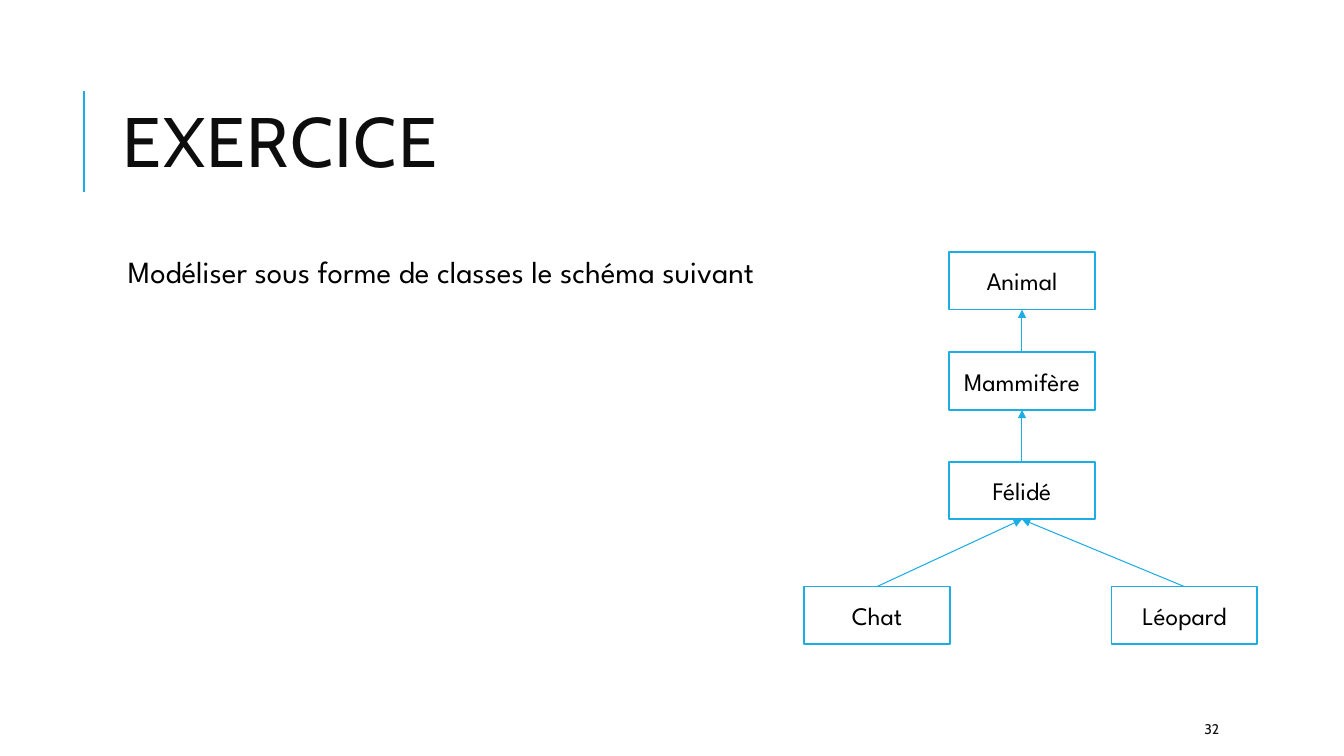
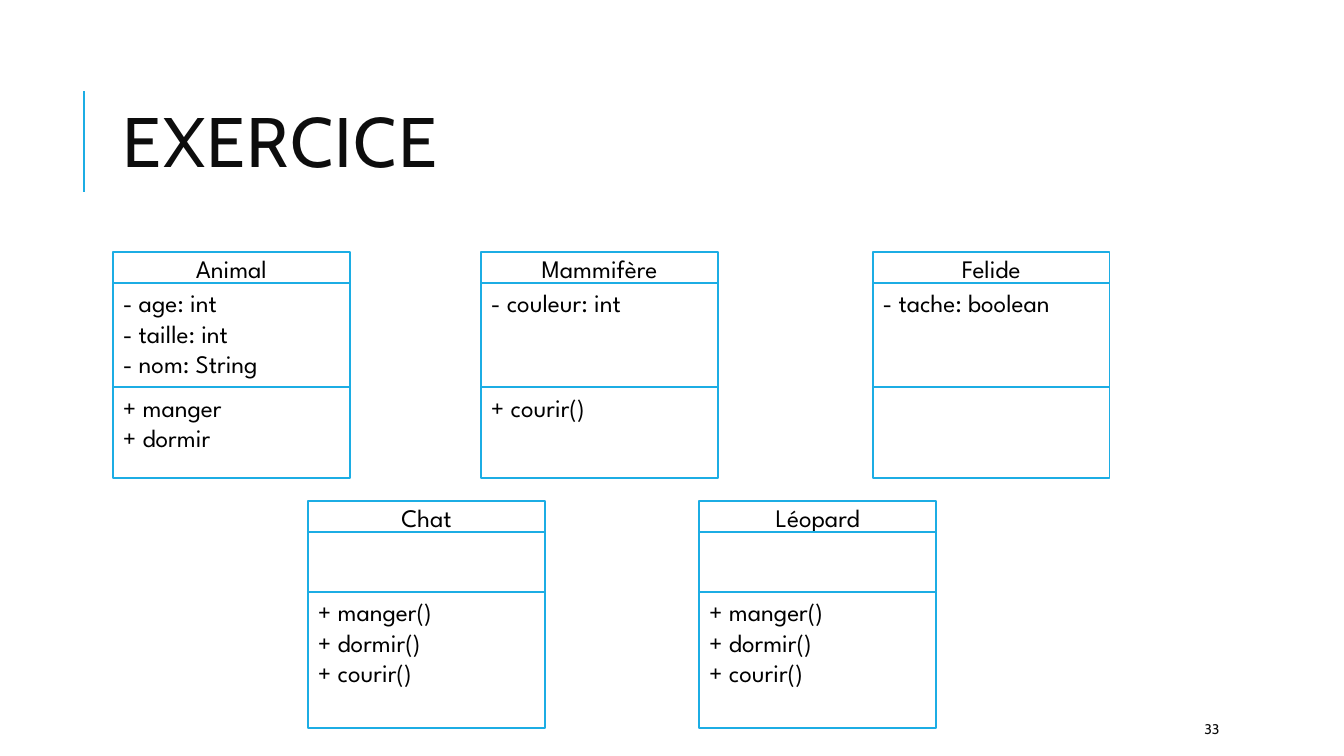
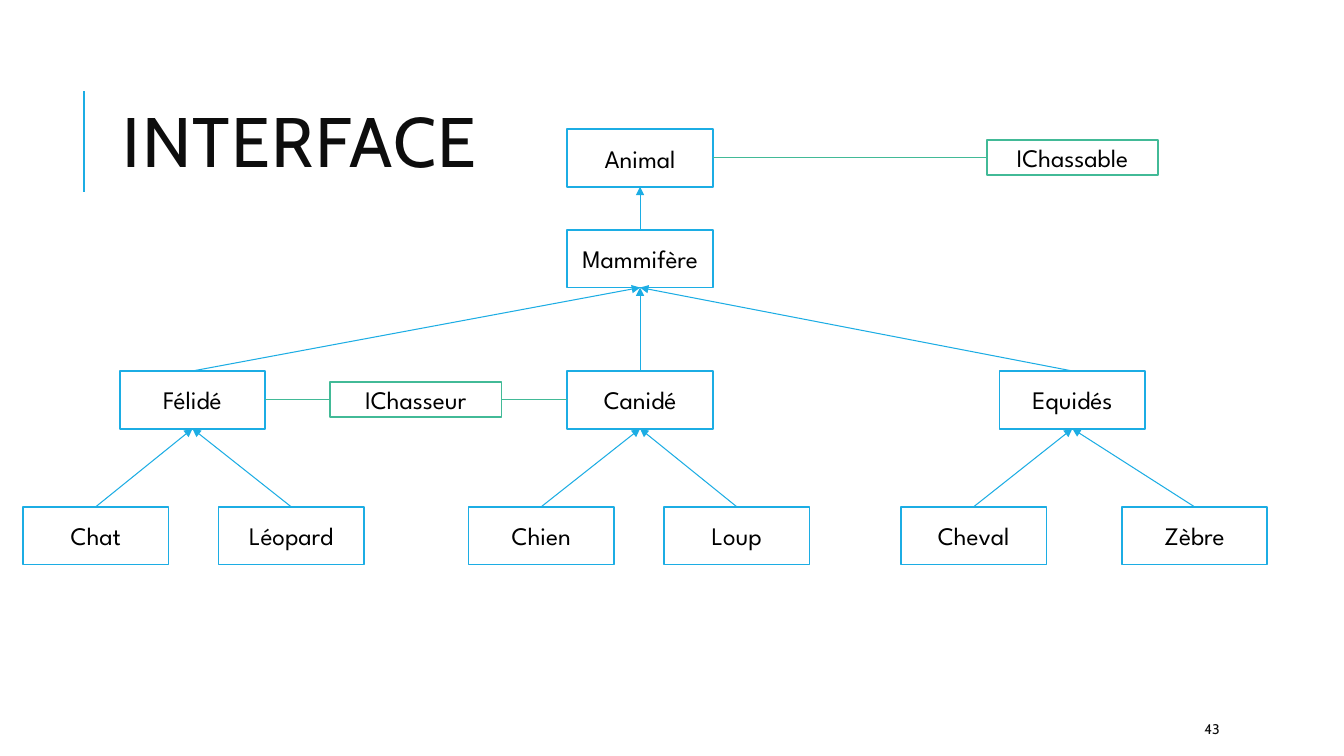
from pptx import Presentation
from pptx.dml.color import RGBColor
from pptx.enum import shapes, text
from pptx.oxml import ns
from pptx.util import Pt
from lxml import etree

BLUE = RGBColor(0x1C, 0xAD, 0xE4)
GREEN = RGBColor(0x42, 0xBA, 0x97)
WHITE = RGBColor(0xFF, 0xFF, 0xFF)
BLACK = RGBColor(0, 0, 0)
INK = RGBColor(0x0D, 0x0D, 0x0D)
HEAD, BODY = "Cabin", "League Spartan"
LEFT, MID = text.PP_ALIGN.LEFT, text.PP_ALIGN.CENTER
TOP, CENTRE = text.MSO_ANCHOR.TOP, text.MSO_ANCHOR.MIDDLE
ABOVE, WEST, BELOW, EAST = range(4)


def write(frame, words, size=18, font=BODY, color=BLACK, align=LEFT,
          anchor=TOP, lead=None, before=None, after=None, track=None,
          inset=(7.2, 3.6)):
    """Fill a text frame, one paragraph per line of words."""
    frame.word_wrap = True
    frame.vertical_anchor = anchor
    frame.margin_left = frame.margin_right = Pt(inset[0])
    frame.margin_top = frame.margin_bottom = Pt(inset[1])
    for i, line in enumerate(words.split("\n")):
        para = frame.add_paragraph() if i else frame.paragraphs[0]
        para.alignment = align
        if lead:
            para.line_spacing = lead
        if before is not None:
            para.space_before = Pt(before)
        if after is not None:
            para.space_after = Pt(after)
        if not line:
            continue
        run = para.add_run()
        run.text = line
        run.font.size, run.font.name = Pt(size), font
        run.font.color.rgb = color
        if track:
            run.font._element.set("spc", str(track * 100))


class Deck:
    """Holds the shared style and the slide being drawn."""

    def __init__(self):
        self.show = Presentation()
        self.show.slide_width, self.show.slide_height = Pt(960), Pt(540)

    def page(self, title, number):
        layout = self.show.slide_layouts[5]
        self.slide = self.show.slides.add_slide(layout)
        head = self.slide.shapes.title
        head.left, head.top = Pt(80.64), Pt(46)
        head.width, head.height = Pt(765.36), Pt(118)
        write(head.text_frame, title, size=50, font=HEAD, color=INK,
              anchor=CENTRE, lead=0.8, track=1)
        self.line((60, 137), (60, 65), width=1.5)
        self.note(number, 853.2, 509.8, 76.3, 21.6, size=10, font=HEAD,
                  color=INK, anchor=CENTRE)

    def note(self, words, x, y, w, h, **style):
        area = self.slide.shapes.add_textbox(Pt(x), Pt(y), Pt(w), Pt(h))
        write(area.text_frame, words, **style)

    def line(self, start, end, color=BLUE, width=0.75):
        wire = self.slide.shapes.add_connector(
            shapes.MSO_CONNECTOR.STRAIGHT, *map(Pt, start + end))
        wire.line.color.rgb, wire.line.width = color, Pt(width)
        etree.SubElement(wire._element.spPr, ns.qn("a:effectLst"))
        return wire

    def join(self, start, end, sides, color=BLUE):
        """Glue a line to the given sides of two boxes."""
        wire = self.line((0, 0), (0, 0), color)
        wire.begin_connect(start, sides[0])
        wire.end_connect(end, sides[1])
        return wire

    def climb(self, child, parent):
        """Draw the arrow from a class up to its parent."""
        wire = self.join(child, parent, (ABOVE, BELOW))
        tip = etree.SubElement(wire.line._get_or_add_ln(), ns.qn("a:tailEnd"))
        tip.set("type", "triangle")

    def box(self, words, x, y, w, h, color=BLUE, home=None, **style):
        area = (home or self.slide).shapes.add_shape(
            shapes.MSO_SHAPE.RECTANGLE, Pt(x), Pt(y), Pt(w), Pt(h))
        area.shadow.inherit = False
        area.fill.solid()
        area.fill.fore_color.rgb = WHITE
        area.line.color.rgb, area.line.width = color, Pt(1.25)
        write(area.text_frame, words, **style)
        return area

    def node(self, name, x, y, w=104, h=41.2, color=BLUE):
        """Draw a named box centred on x, with its top at y."""
        return self.box(name, x - w / 2, y, w, h, color,
                        align=MID, anchor=CENTRE)

    def tree(self, nodes):
        """Draw (name, centre, top, parent) rows, then their arrows."""
        made = {name: self.node(name, x, y) for name, x, y, _ in nodes}
        for name, _, _, parent in nodes:
            if parent:
                self.climb(made[name], made[parent])
        return made

    def role(self, name, x, y):
        return self.node(name, x, y, 122.4, 25, GREEN)

    def card(self, name, fields, deeds, x, y, parts):
        """Draw a class with its fields and methods, parts tall."""
        home = self.slide.shapes.add_group_shape()
        wide = 169.2
        self.box(name, x, y, wide, 23, home=home, align=MID, anchor=CENTRE)
        y += 22
        for words, tall in zip((fields, deeds), parts):
            self.box(words, x, y, wide, tall, home=home)
            y += tall


def main():
    deck = Deck()

    deck.page("EXERCICE", "32")
    deck.note("Modéliser sous forme de classes le schéma suivant",
              80.64, 180, 765.36, 316.8, size=22, lead=0.9, before=12,
              after=2, inset=(10.8, 3.6))
    deck.tree([
        ("Animal", 730, 180, None),
        ("Mammifère", 730, 251.6, "Animal"),
        ("Félidé", 730, 329.8, "Mammifère"),
        ("Chat", 626.4, 419, "Félidé"),
        ("Léopard", 846, 419, "Félidé"),
    ])

    deck.page("EXERCICE", "33")
    high, low = (180, (74.7, 65)), (358, (42.7, 97.5))
    moves = "+ manger()\n+ dormir()\n+ courir()"
    for name, fields, deeds, x, (y, parts) in [
        ("Animal", "- age: int\n- taille: int\n- nom: String",
         "+ manger\n+ dormir", 80.64, high),
        ("Mammifère", "- couleur: int", "+ courir()", 343.6, high),
        ("Felide", "- tache: boolean", "", 623.4, high),
        ("Chat", "", moves, 220, low),
        ("Léopard", "", moves, 499.5, low),
    ]:
        deck.card(name, fields, deeds, x, y, parts)

    deck.page("INTERFACE", "43")
    made = deck.tree([
        ("Animal", 457.2, 92.2, None),
        ("Mammifère", 457.2, 164.2, "Animal"),
        ("Félidé", 137.5, 265, "Mammifère"),
        ("Canidé", 457.2, 265, "Mammifère"),
        ("Equidés", 766, 265, "Mammifère"),
        ("Chat", 68.4, 362, "Félidé"),
        ("Léopard", 208, 362, "Félidé"),
        ("Chien", 386.6, 362, "Canidé"),
        ("Loup", 526.3, 362, "Canidé"),
        ("Cheval", 695.5, 362, "Equidés"),
        ("Zèbre", 853.2, 362, "Equidés"),
    ])
    hunter = deck.role("IChasseur", 297, 273.1)
    prey = deck.role("IChassable", 766, 100.3)
    for start, end in [(made["Félidé"], hunter), (hunter, made["Canidé"]),
                       (made["Animal"], prey)]:
        deck.join(start, end, (EAST, WEST), GREEN)

    deck.show.save("out.pptx")


if __name__ == "__main__":
    main()
